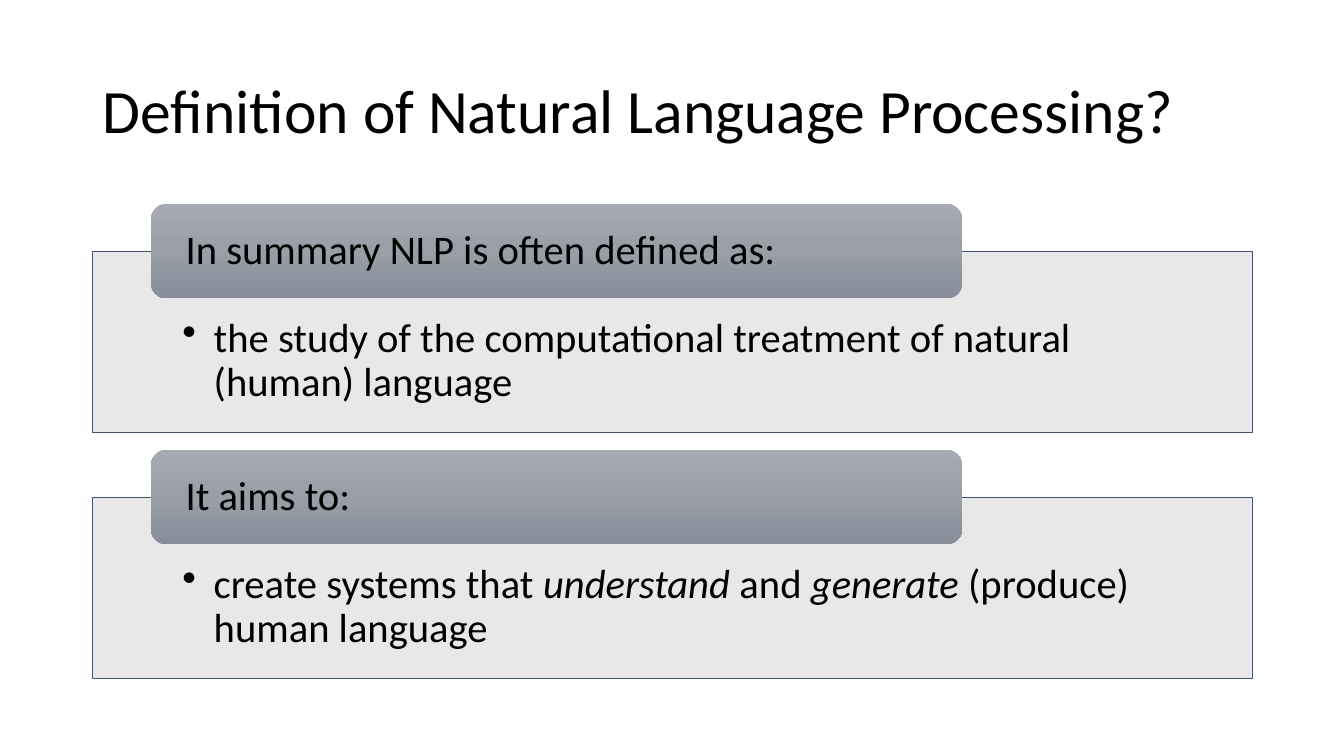
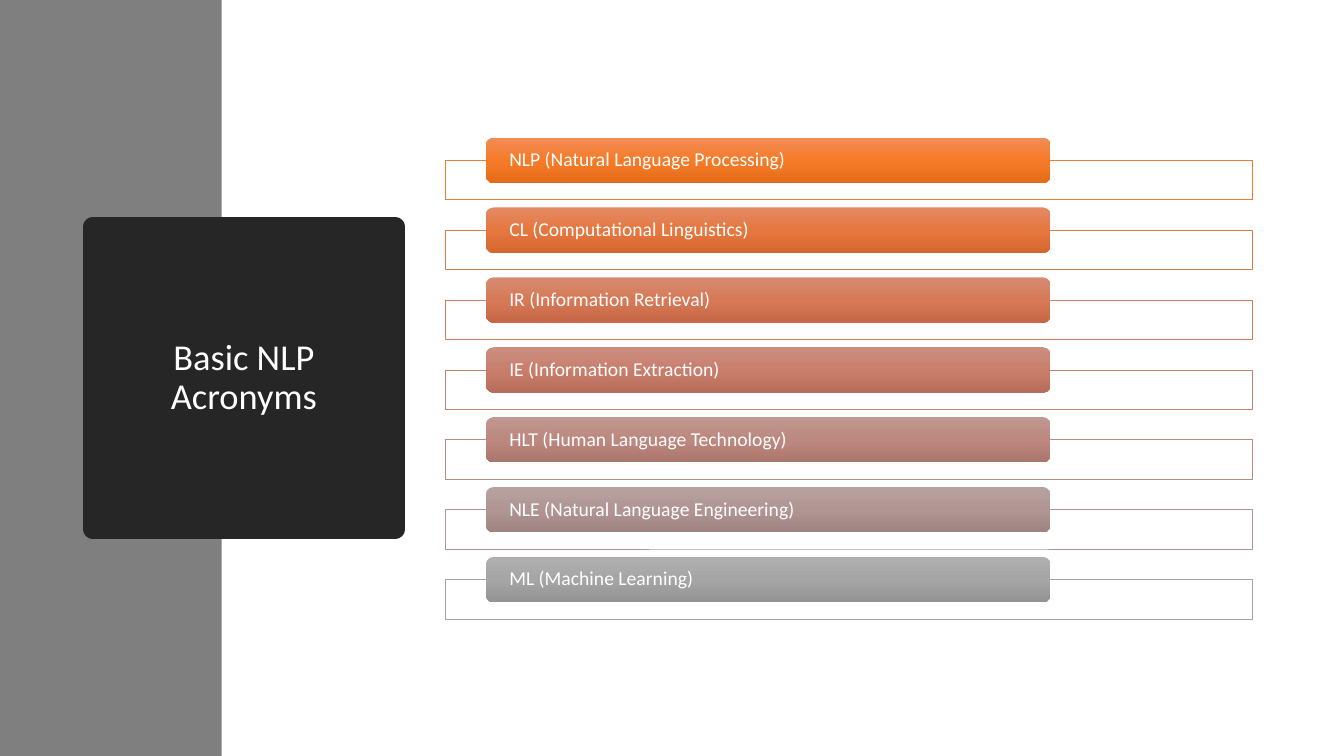
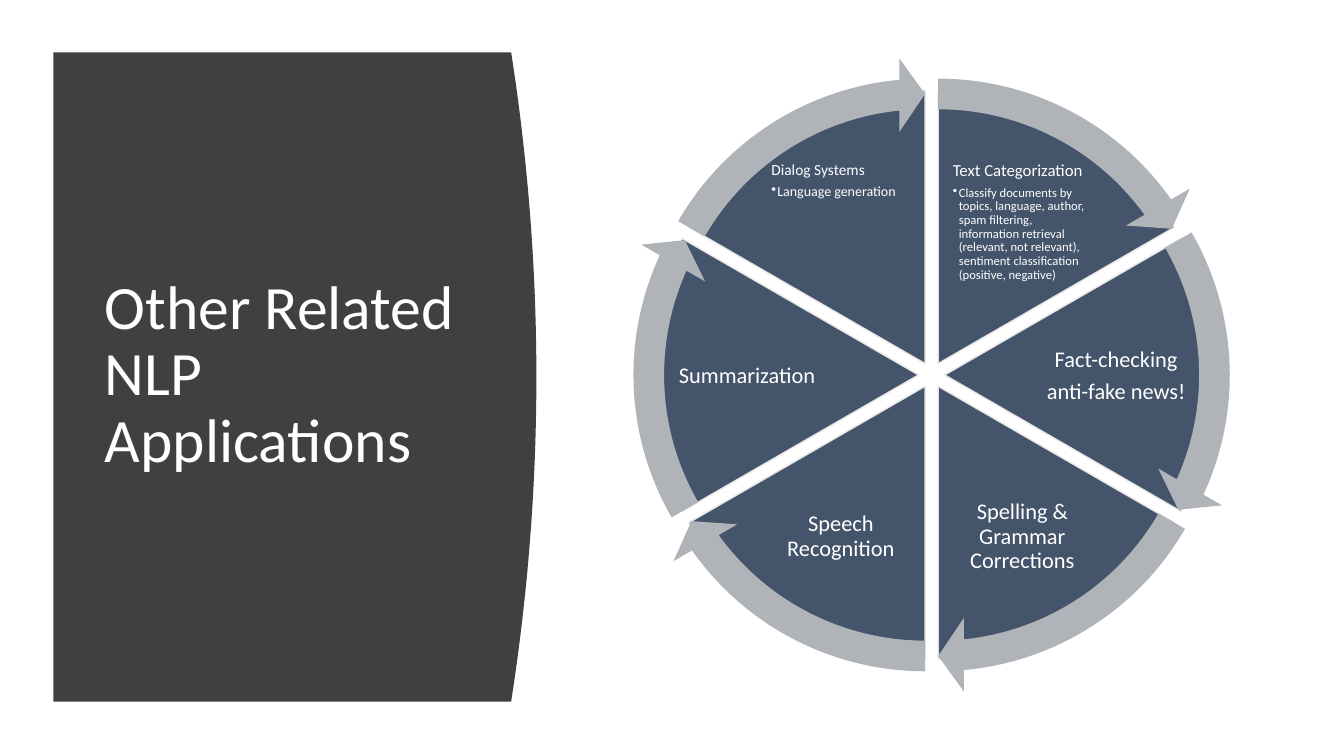
import copy
import math
from dataclasses import dataclass

import pptx
import pptx.dml.color
import pptx.enum.shapes
import pptx.enum.text
import pptx.oxml.ns
import pptx.util
from lxml import etree


@dataclass(frozen=True)
class Theme:
    font: str = "Calibri"
    black: str = "000000"
    white: str = "FFFFFF"
    navy: str = "44546A"
    pale: str = "E7E6E6"
    band: str = "7F7F7F"
    ink: str = "262626"
    dark: str = "404040"
    arrow: str = "B0B4B9"
    slate: tuple = ("A5AAB3", "999EA7", "878E9A")
    head: int = 44
    side: int = 26
    lead: int = 29
    label: int = 16
    item: int = 14
    mid: int = 12
    note: int = 11
    small: int = 10
    tiny: int = 9


def color(hue):
    return pptx.dml.color.RGBColor.from_string(hue)


def inches(box):
    return [pptx.util.Inches(val) for val in box]


class Deck:
    """Holds the theme and the slide being built."""

    def __init__(self):
        self.theme = Theme()
        self.prs = pptx.Presentation()
        self.prs.slide_width = pptx.util.Inches(13.33)
        self.prs.slide_height = pptx.util.Inches(7.5)

    def start(self):
        self.slide = self.prs.slides.add_slide(self.prs.slide_layouts[5])
        self.shapes = self.slide.shapes

    def paint(self, shape, fill, line=None, width=0.5):
        shape.fill.solid()
        shape.fill.fore_color.rgb = color(fill)
        if line:
            shape.line.color.rgb = color(line)
            shape.line.width = pptx.util.Pt(width)
        else:
            shape.line.fill.background()

    def shape(self, kind, box, fill, line=None, width=0.5, adj=()):
        item = self.shapes.add_shape(kind, *inches(box))
        item.shadow.inherit = False
        self.paint(item, fill, line, width)
        for i, val in enumerate(adj):
            item.adjustments[i] = val
        return item

    def fade(self, shape, stops):
        """Fill a shape with evenly spaced stops from top to bottom."""
        shape.fill.gradient()
        shape.fill.gradient_angle = 270
        rows = shape.element.spPr.find(".//" + pptx.oxml.ns.qn("a:gsLst"))
        rows.append(copy.deepcopy(rows[0]))
        for i, (stop, hue) in enumerate(zip(shape.fill.gradient_stops, stops)):
            stop.color.rgb = color(hue)
            stop.position = i / 2

    def frame(self, shape, pad, anchor=pptx.enum.text.MSO_ANCHOR.MIDDLE):
        """Set wrap, anchor and insets, given left, top, right, bottom."""
        frame = shape.text_frame
        frame.word_wrap = True
        frame.auto_size = pptx.enum.text.MSO_AUTO_SIZE.NONE
        frame.vertical_anchor = anchor
        (frame.margin_left, frame.margin_top,
         frame.margin_right, frame.margin_bottom) = inches(pad)
        return frame

    def text(self, para, text, size, hue,
             align=pptx.enum.text.PP_ALIGN.LEFT, after=0.35, hang=0):
        """Fill a paragraph; *stars* mark italics, hang adds a bullet."""
        para.alignment = align
        para.line_spacing = 0.9
        para.space_after = pptx.util.Pt(round(size * after, 1))
        if hang:
            props = para._p.get_or_add_pPr()
            props.set("marL", str(pptx.util.Inches(hang)))
            props.set("indent", str(pptx.util.Inches(-hang)))
            mark = etree.SubElement(props, pptx.oxml.ns.qn("a:buChar"))
            mark.set("char", "•")
        para.font.name = self.theme.font
        para.font.size = pptx.util.Pt(size)
        para.font.color.rgb = color(hue)
        for i, part in enumerate(text.split("*")):
            run = para.add_run()
            run.text = part
            if i % 2:
                run.font.italic = True

    def title(self, text, box, size, hue,
              align=pptx.enum.text.PP_ALIGN.LEFT):
        item = self.shapes.title
        self.shapes.element.append(item.element)  # bring to front
        item.left, item.top, item.width, item.height = inches(box)
        frame = self.frame(item, (0.1, 0.05, 0.1, 0.05))
        self.text(frame.paragraphs[0], text, size, hue, align, 0)
        return item

    def card(self, box, tall, head, size, hue, fill, line, stops, pad,
             body=None):
        """A framed panel with a tab straddling its top edge."""
        left, top, wide, _ = box
        kinds = pptx.enum.shapes.MSO_SHAPE
        panel = self.shape(kinds.RECTANGLE, box, fill, line)
        tint = panel.element.spPr.find(".//" + pptx.oxml.ns.qn("a:srgbClr"))
        etree.SubElement(tint, pptx.oxml.ns.qn("a:alpha")).set("val", "90000")
        if body:
            frame = self.frame(panel, (0.89, 0.66, 0.89, 0.23),
                               pptx.enum.text.MSO_ANCHOR.TOP)
            self.text(frame.paragraphs[0], body, size, hue,
                      after=0.15, hang=0.31)
        tab = self.shape(kinds.ROUNDED_RECTANGLE,
                         (left + wide * 0.05, top - tall / 2, wide * 0.7, tall),
                         fill)
        self.fade(tab, stops)
        frame = self.frame(tab, (pad, 0, pad, 0))
        self.text(frame.paragraphs[0], head, size, hue)

    def label(self, box, lines):
        """Centred lines, or a heading with one bulleted line below."""
        white = self.theme.white
        item = self.shapes.add_textbox(*inches(box))
        note = isinstance(lines[0], tuple)
        anchors = pptx.enum.text.MSO_ANCHOR
        frame = self.frame(item, (0.02,) * 4,
                           anchors.TOP if note else anchors.MIDDLE)
        for i, line in enumerate(lines):
            para = frame.add_paragraph() if i else frame.paragraphs[0]
            if note:
                self.text(para, *line, white, after=0.15 if i else 0.35,
                          hang=0.06 * i)
            else:
                self.text(para, line, self.theme.label, white,
                          pptx.enum.text.PP_ALIGN.CENTER)

    def ring(self, hub, size, gap, kind, adjust, fill, line=None):
        """Six parts, each pushed out from the hub along its own middle."""
        for i in range(6):
            turn = math.radians(300 + 60 * i)
            left = hub[0] - size / 2 + gap * math.cos(turn)
            top = hub[1] - size / 2 + gap * math.sin(turn)
            self.shape(kind, (left, top, size, size), fill, line, 1,
                       adjust(162 + 36 * i))


def define(deck):
    look = deck.theme
    deck.start()
    deck.title("Definition of Natural Language Processing?",
               (0.92, 0.4, 11.5, 1.45), look.head, look.black)
    cards = [
        ("In summary NLP is often defined as:",
         "the study of the computational treatment of natural (human) language"),
        ("It aims to:",
         "create systems that *understand* and *generate* (produce) human language"),
    ]
    for i, (head, body) in enumerate(cards):
        deck.card((0.92, 2.49 + 2.44 * i, 11.5, 1.8), 0.94, head, look.lead,
                  look.black, look.pale, look.navy, look.slate, 0.3, body)


def terms(deck):
    look = deck.theme
    deck.start()
    deck.shape(pptx.enum.shapes.MSO_SHAPE.RECTANGLE, (0, 0, 2.2, 7.5),
               look.band)
    title = deck.title("Basic NLP Acronyms", (0.92, 2.25, 3, 3), look.side,
                       look.white, pptx.enum.text.PP_ALIGN.CENTER)
    deck.paint(title, look.ink, look.ink, 13.75)
    rows = [
        ("NLP (Natural Language Processing)", "ED7D31", "F18C57 F67B28 E56C19"),
        ("CL (Computational Linguistics)", "DE7A47", "E38A63 E6773F D56730"),
        ("IR (Information Retrieval)", "D17B5C", "D78B72 D77956 C66846"),
        ("IE (Information Extraction)", "C48170", "CB8F81 C97E6B B76D5B"),
        ("HLT (Human Language Technology)", "B98A82", "C19791 BC8880 AA766E"),
        ("NLE (Natural Language Engineering)", "AE9694", "B7A2A0 B09593 9E8381"),
        ("ML (Machine Learning)", "A5A5A5", "AFAFAF A5A5A5 939393"),
    ]
    step = 4.16 / (len(rows) - 1)
    for i, (head, line, stops) in enumerate(rows):
        deck.card((4.42, 1.59 + step * i, 8, 0.39), 0.45, head, look.item,
                  look.white, look.white, line, stops.split(), 0.21)


def uses(deck):
    look = deck.theme
    deck.start()
    left, top, base, steps = 0.53, 0.52, 6.96, 40
    edge = []
    for i in range(steps + 1):
        bend = 2 * i / steps - 1
        edge.append((5.32 - 0.25 * bend ** 2, top + (base - top) * i / steps))
    form = deck.shapes.build_freeform(*inches((left, top)))
    form.add_line_segments([inches(point) for point in edge + [(left, base)]])
    panel = form.convert_to_shape()
    panel.shadow.inherit = False
    deck.paint(panel, look.dark)
    deck.title("Other Related NLP Applications", (0.94, 1.11, 3.73, 5.24),
               look.head, look.white)

    hub = (9.24, 3.72)
    kinds = pptx.enum.shapes.MSO_SHAPE
    deck.ring(hub, 5.41, 0.13, kinds.PIE,
              lambda a: (a % 216, (a + 36) % 216), look.navy, look.pale)
    deck.ring(hub, 6.08, 0.13, kinds.CIRCULAR_ARROW,
              lambda a: (0.05, 3.28, (a + 32.72) % 216, a % 216, 0.06),
              look.arrow)
    labels = [
        (9.43, 1.59, [("Text Categorization", look.mid),
                      ("Classify documents by topics, language, author, spam "
                       "filtering, information retrieval (relevant, not "
                       "relevant), sentiment classification (positive, "
                       "negative)", look.tiny)]),
        (10.33, 3.2, ["Fact-checking", "anti-fake news!"]),
        (9.43, 4.78, ["Spelling & Grammar Corrections"]),
        (7.63, 4.78, ["Speech Recognition"]),
        (6.67, 3.2, ["Summarization"]),
        (7.63, 1.59, [("Dialog Systems", look.note),
                      ("Language generation", look.small)]),
    ]
    for x, y, lines in labels:
        wide, tall = (1.48, 1.06) if y == 3.2 else (1.42, 1.09)
        deck.label((x, y, wide, tall), lines)


def main():
    deck = Deck()
    define(deck)
    terms(deck)
    uses(deck)
    deck.prs.save("out.pptx")


if __name__ == "__main__":
    main()
